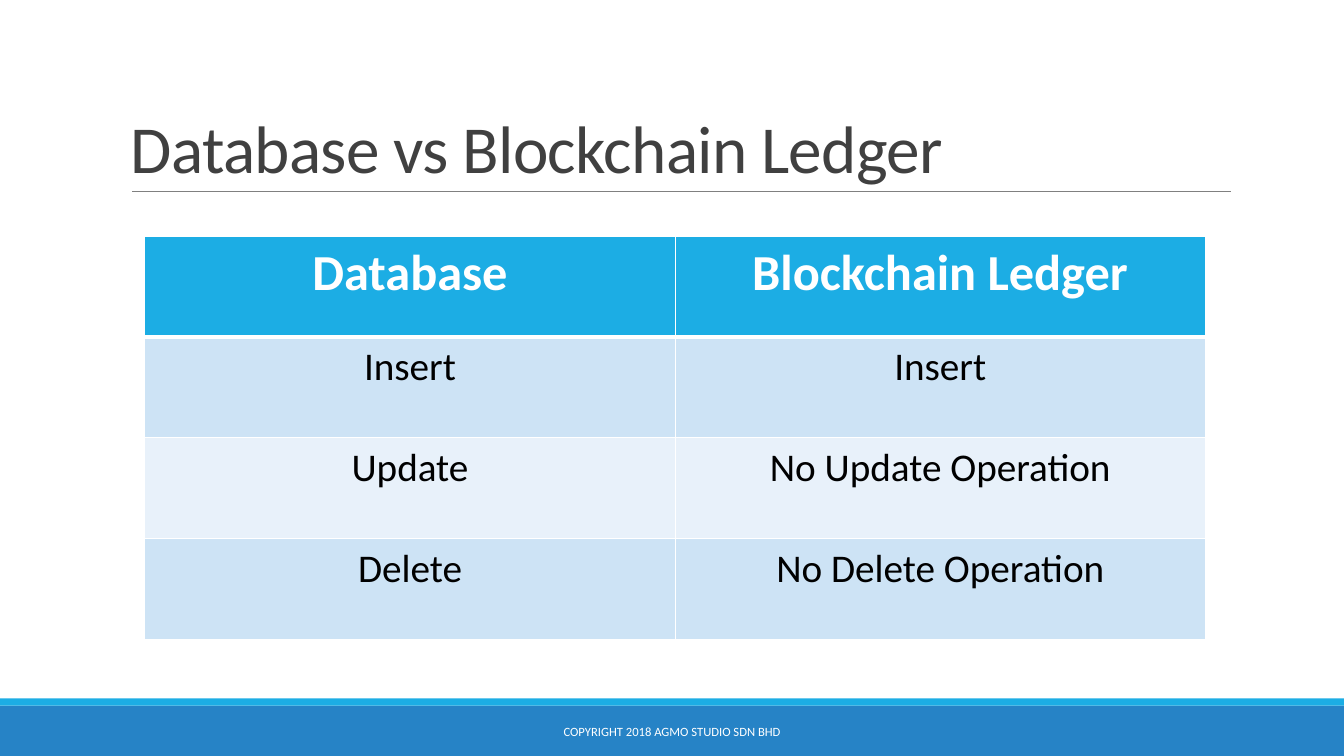
"""Build a slide comparing database and blockchain ledger operations."""
from typing import NamedTuple

import lxml.etree
import pptx
import pptx.dml.color
import pptx.enum.shapes
import pptx.enum.text
import pptx.oxml.ns
import pptx.slide
import pptx.table
import pptx.text.text
import pptx.util

RGBColor = pptx.dml.color.RGBColor
WHITE = RGBColor(0xFF, 0xFF, 0xFF)
BLACK = RGBColor(0x00, 0x00, 0x00)
CHARCOAL = RGBColor(0x40, 0x40, 0x40)
GRAY = RGBColor(0x80, 0x80, 0x80)
BLUE = RGBColor(0x26, 0x83, 0xC6)
CYAN = RGBColor(0x1C, 0xAD, 0xE4)
BAND_DARK = RGBColor(0xCD, 0xE3, 0xF5)
BAND_LIGHT = RGBColor(0xE8, 0xF1, 0xFA)

FONT = "Calibri"
EMU_PER_PX = 9525
SLIDE_WIDTH, SLIDE_HEIGHT = 1280, 720
CELL_INSET_X, CELL_INSET_Y = 12, 6
CENTER = pptx.enum.text.PP_ALIGN.CENTER
LEFT = pptx.enum.text.PP_ALIGN.LEFT


class Box(NamedTuple):
    left: int
    top: int
    width: int
    height: int


class Bar(NamedTuple):
    box: Box
    color: RGBColor


class Operation(NamedTuple):
    database: str
    ledger: str


FOOTER_BARS = [
    Bar(Box(0, 672, SLIDE_WIDTH, 48), BLUE),
    Bar(Box(0, 665, SLIDE_WIDTH, 7), CYAN),
]
COMPARISON = [
    Operation("Database", "Blockchain Ledger"),
    Operation("Insert", "Insert"),
    Operation("Update", "No Update Operation"),
    Operation("Delete", "No Delete Operation"),
]
COMPARISON_BOX = Box(138, 225, 1010, 384)


def px(length: int) -> pptx.util.Emu:
    return pptx.util.Emu(length * EMU_PER_PX)


def emu(box: Box) -> list[pptx.util.Emu]:
    return [px(length) for length in box]


def write(frame: pptx.text.text.TextFrame, text: str, *, size: int, color: RGBColor,
          bold: bool = False, align: pptx.enum.text.PP_ALIGN = LEFT,
          line_spacing: float = 1.0, tracking: int = 0) -> None:
    paragraph = frame.paragraphs[0]
    paragraph.alignment = align
    paragraph.line_spacing = line_spacing
    run = paragraph.add_run()
    run.text = text
    run.font.name = FONT
    run.font.size = pptx.util.Pt(size)
    run.font.bold = bold
    run.font.color.rgb = color
    if tracking:
        run.font._element.set("spc", str(tracking))


def add_text_frame(slide: pptx.slide.Slide, box: Box,
                   anchor: pptx.enum.text.MSO_ANCHOR) -> pptx.text.text.TextFrame:
    frame = slide.shapes.add_textbox(*emu(box)).text_frame
    frame.word_wrap = True
    frame.vertical_anchor = anchor
    return frame


def add_bar(slide: pptx.slide.Slide, bar: Bar) -> None:
    rectangle = slide.shapes.add_shape(
        pptx.enum.shapes.MSO_SHAPE.RECTANGLE, *emu(bar.box))
    rectangle.shadow.inherit = False
    rectangle.fill.solid()
    rectangle.fill.fore_color.rgb = bar.color
    rectangle.line.fill.background()


def add_title_rule(slide: pptx.slide.Slide, left: int, right: int, top: int) -> None:
    rule = slide.shapes.add_connector(
        pptx.enum.shapes.MSO_CONNECTOR.STRAIGHT, px(left), px(top), px(right), px(top))
    rule.line.color.rgb = GRAY
    rule.line.width = pptx.util.Pt(0.5)
    lxml.etree.SubElement(rule._element.spPr, pptx.oxml.ns.qn("a:effectLst"))


def set_borders(cell: pptx.table._Cell, top: int, bottom: int) -> None:
    qn = pptx.oxml.ns.qn
    properties = cell._tc.get_or_add_tcPr()
    for side, points in {"L": 1, "R": 1, "T": top, "B": bottom}.items():
        border = lxml.etree.SubElement(
            properties, qn(f"a:ln{side}"), w=str(pptx.util.Pt(points)))
        fill = lxml.etree.SubElement(border, qn("a:solidFill"))
        lxml.etree.SubElement(fill, qn("a:srgbClr"), val=str(WHITE))


def add_comparison(slide: pptx.slide.Slide) -> None:
    table = slide.shapes.add_table(
        len(COMPARISON), len(Operation._fields), *emu(COMPARISON_BOX)).table
    for row, operation in enumerate(COMPARISON):
        header = row == 0
        band = BAND_DARK if row % 2 else BAND_LIGHT
        for column, label in enumerate(operation):
            cell = table.cell(row, column)
            cell.margin_left = cell.margin_right = px(CELL_INSET_X)
            cell.margin_top = cell.margin_bottom = px(CELL_INSET_Y)
            set_borders(cell, top=3 if row == 1 else 1, bottom=3 if header else 1)
            cell.fill.solid()
            cell.fill.fore_color.rgb = CYAN if header else band
            write(cell.text_frame, label, size=36 if header else 28,
                  color=WHITE if header else BLACK, bold=header, align=CENTER)


def main() -> None:
    presentation = pptx.Presentation()
    presentation.slide_width = px(SLIDE_WIDTH)
    presentation.slide_height = px(SLIDE_HEIGHT)
    slide = presentation.slides.add_slide(presentation.slide_layouts[6])

    for bar in FOOTER_BARS:
        add_bar(slide, bar)
    add_title_rule(slide, left=126, right=1172, top=182)
    add_comparison(slide)

    anchors = pptx.enum.text.MSO_ANCHOR
    title = add_text_frame(slide, Box(115, 30, 1056, 153), anchors.BOTTOM)
    write(title, "Database vs Blockchain Ledger", size=48, color=CHARCOAL,
          line_spacing=0.85, tracking=-50)
    copyright_line = add_text_frame(slide, Box(387, 678, 506, 38), anchors.MIDDLE)
    write(copyright_line, "COPYRIGHT 2018 AGMO STUDIO SDN BHD", size=9,
          color=WHITE, align=CENTER)

    presentation.save("out.pptx")


if __name__ == "__main__":
    main()
